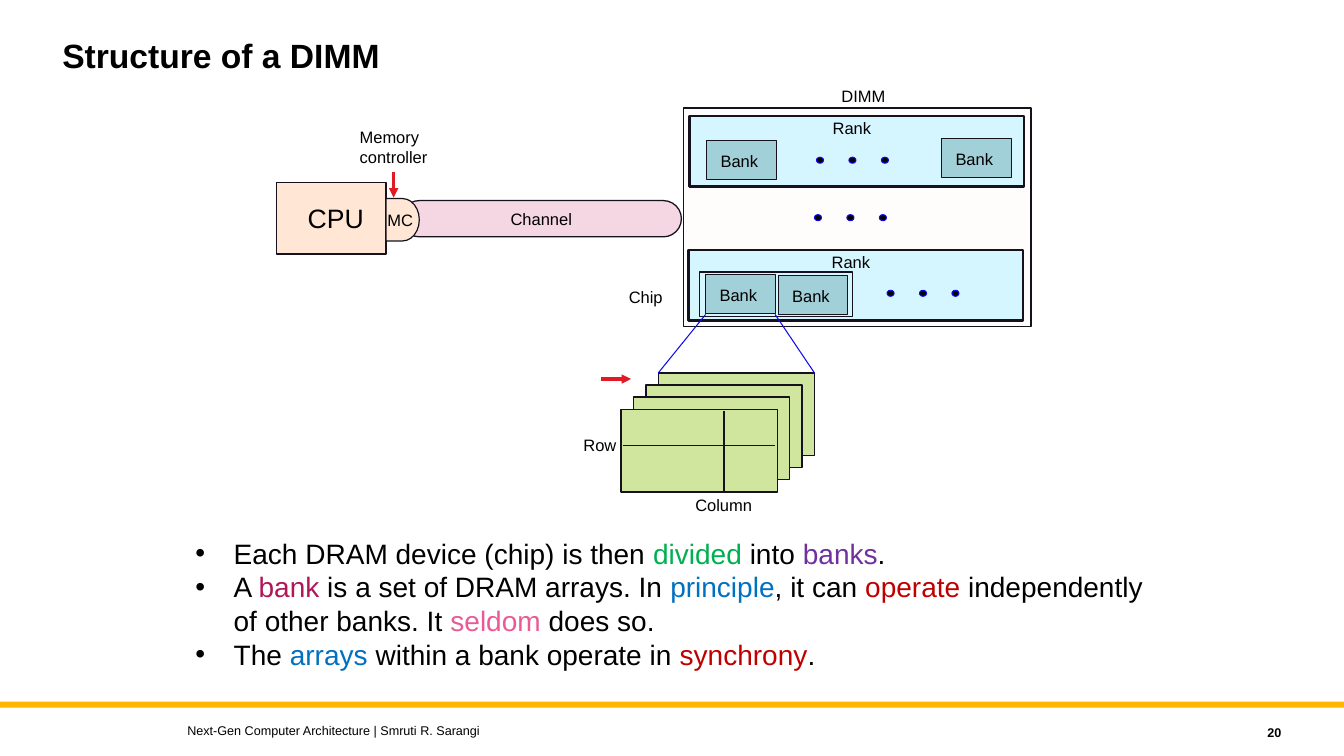
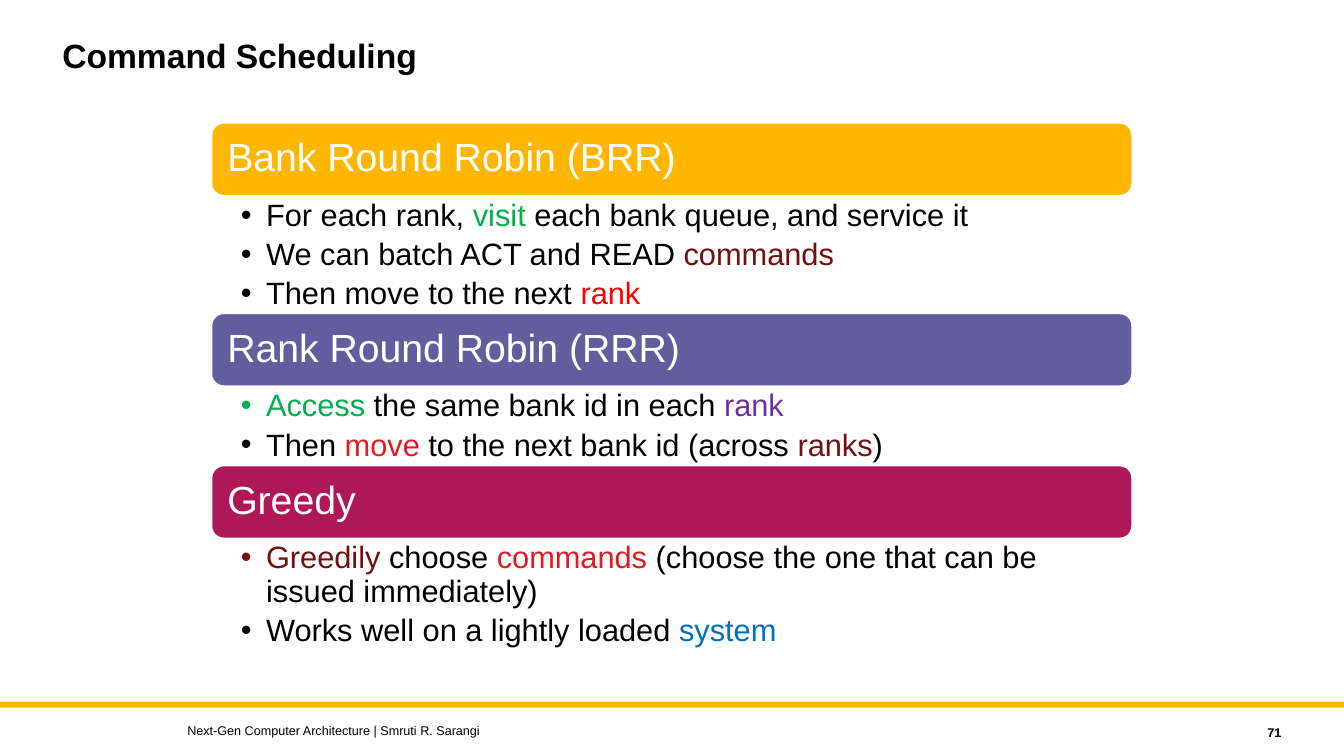
from collections import namedtuple

from lxml import etree
from pptx import Presentation
from pptx import util as u
from pptx.dml.color import RGBColor
from pptx.enum import shapes, text
from pptx.oxml.ns import qn

Theme = namedtuple("Theme", "font ink size")
theme = Theme(
    font="Arial",
    ink=dict(
        black="000000", white="FFFFFF", gold="FFB600", edge="15111D",
        peach="FFE6D5", cream="FFFDFC", sky="D5F6FF", teal="A2D0D9",
        rose="F4D7E3", lime="D0E69E", navy="0B0BEA", red="E21A23",
        green="00B050", purple="7030A0", wine="AF1858", blue="0070C0",
        brick="C00000", pink="E85B97", maroon="720F11", bright="FF0000",
        violet="625D9C",
    ),
    size=dict(title=24, foot=9, label=11.8, cpu=19, point=20, bar=28, item=22),
)
KIND = shapes.MSO_SHAPE
ALIGN = text.PP_ALIGN
ANCHOR = text.MSO_ANCHOR

# The grid has square cells of a tenth of an inch.
CELL = u.Inches(0.1)
COLS, ROWS = 133.33, 75


def draw(page, x, y, w, h, fill=None, line=None, weight=1, kind=KIND.RECTANGLE):
    """Add a shape at grid places, or a text box if kind is None."""
    place = [int(v * CELL) for v in (x, y, w, h)]
    if kind is None:
        return page.shapes.add_textbox(*place)
    shape = page.shapes.add_shape(kind, *place)
    shape.shadow.inherit = False
    if fill:
        shape.fill.solid()
        shape.fill.fore_color.rgb = RGBColor.from_string(theme.ink[fill])
    else:
        shape.fill.background()
    if line:
        shape.line.color.rgb = RGBColor.from_string(theme.ink[line])
        shape.line.width = u.Pt(weight)
    else:
        shape.line.fill.background()
    return shape


def write(shape, lines, size, ink="black", bold=False, align=ALIGN.LEFT,
          anchor=ANCHOR.TOP, inset=(1, 0.5, 1, 0.5), wrap=True,
          hang=0, pitch=None, gap=0):
    """Fill a shape with lines, where {name} switches the colour and {} resets it."""
    frame = shape.text_frame
    frame.word_wrap = wrap
    frame.vertical_anchor = anchor
    (frame.margin_left, frame.margin_top,
     frame.margin_right, frame.margin_bottom) = [int(v * CELL) for v in inset]
    for i, line in enumerate(lines):
        para = frame.add_paragraph() if i else frame.paragraphs[0]
        para.alignment = align
        para.space_after = u.Pt(gap)
        if pitch:
            para.line_spacing = pitch
        if hang:
            props = para._p.get_or_add_pPr()
            props.set("marL", str(int(hang * CELL)))
            props.set("indent", str(-int(hang * CELL)))
            etree.SubElement(props, qn("a:buFont")).set("typeface", theme.font)
            etree.SubElement(props, qn("a:buChar")).set("char", "•")
        para.font.name = theme.font
        para.font.size = u.Pt(theme.size[size])
        para.font.bold = bold
        for part in ("}" + line).split("{"):
            name, _, words = part.partition("}")
            if words:
                run = para.add_run()
                run.text = words
                run.font.color.rgb = RGBColor.from_string(theme.ink[name or ink])


deck = Presentation()
deck.slide_width = int(COLS * CELL)
deck.slide_height = int(ROWS * CELL)

# Shared title, band and footer
pages = []
for title, number in (("Structure of a DIMM", "20"), ("Command Scheduling", "71")):
    page = deck.slides.add_slide(deck.slide_layouts[6])
    pages.append(page)
    draw(page, 0, 69.6, COLS, 0.6, "gold")
    write(draw(page, 5.2, 3, 100, 9, kind=None), [title], "title", bold=True)
    write(draw(page, 17.6, 71.2, 80, 2.5, kind=None),
          ["Next-Gen Computer Architecture | Smruti R. Sarangi"], "foot",
          anchor=ANCHOR.MIDDLE)
    write(draw(page, 114.1, 71.4, 14, 2.5, kind=None), [number], "foot",
          bold=True, align=ALIGN.RIGHT, anchor=ANCHOR.MIDDLE)
dimm, plan = pages

# Blocks of the memory system, from back to front
mid = dict(align=ALIGN.CENTER, anchor=ANCHOR.MIDDLE, wrap=False)
flush = (0, 0, 0, 0)
channel = draw(dimm, 39.8, 19.9, 27.8, 3.6, "rose", "edge", 0.9,
               KIND.ROUNDED_RECTANGLE)
channel.adjustments[0] = 0.5
write(channel, ["Channel"], "label", inset=flush, **mid)
cpu = draw(dimm, 27.4, 18.1, 10.9, 7.1, "peach", "edge")
write(cpu, ["CPU"], "cpu", inset=(0.9, 0, 0, 0), **mid)
mc = draw(dimm, 38.3, 19.7, 3.3, 4.2, "peach", "edge", 0.86, KIND.FLOWCHART_DELAY)
write(mc, ["MC"], "label", inset=flush, **mid)

draw(dimm, 67.8, 10.7, 34.5, 21.7, "cream", "edge")
for x, y in ((68.4, 11.5), (68.3, 24.8)):
    rank = draw(dimm, x, y, 33.2, 7, "sky", "edge", 1.7)
    write(rank, ["Rank"], "label", align=ALIGN.CENTER, inset=(0, 0.2, 1, 0))
draw(dimm, 69.4, 27, 15.2, 4.4, line="edge", weight=0.91)
for x, y in ((70.1, 13.9), (93.4, 13.7), (70, 27.2), (77.2, 27.3)):
    bank = draw(dimm, x, y, 6.9, 3.9, "teal", "edge", 0.58)
    write(bank, ["Bank"], "label", inset=(0, 0.2, 0.4, 0), **mid)
for x, y in ((81, 15.6), (80.8, 21.3), (88, 28.8)):
    for i in range(3):
        draw(dimm, x + 3.22 * i, y, 0.7, 0.6, "black", "navy", 0.75, KIND.OVAL)

# Stack of arrays inside a bank
for i in range(4):
    draw(dimm, 65.3 - 1.23 * i, 37 + 1.2 * i, 15.5, 8.2, "lime", "edge")

for words, x, y, w in (
    ("DIMM", 82.5, 8, 6.4),
    ("Memory", 34.7, 12.1, 8.4),
    ("controller", 34.7, 14.1, 8.8),
    ("Chip", 61.4, 28, 5.4),
    ("Row", 56.9, 42.7, 5.3),
    ("Column", 68, 48.6, 7.7),
):
    write(draw(dimm, x, y, w, 3, kind=None), [words], "label", wrap=False)

# Zoom lines, row and column lines, arrows
for x1, y1, x2, y2, ink, weight, head in (
    (70, 31.2, 65.3, 37, "navy", 0.75, False),
    (76.9, 31.2, 80.8, 37, "navy", 0.75, False),
    (61.8, 44.2, 76.9, 44.2, "edge", 1.41, False),
    (71.8, 40.8, 71.8, 48.9, "edge", 1.41, False),
    (39.05, 17.1, 39.05, 19.6, "red", 2.25, True),
    (59.6, 37.6, 62.6, 37.6, "red", 2.25, True),
):
    ends = [int(v * CELL) for v in (x1, y1, x2, y2)]
    link = dimm.shapes.add_connector(shapes.MSO_CONNECTOR.STRAIGHT, *ends)
    link.line.color.rgb = RGBColor.from_string(theme.ink[ink])
    link.line.width = u.Pt(weight)
    if head:
        tip = etree.SubElement(link.line._get_or_add_ln(), qn("a:tailEnd"))
        tip.set("type", "triangle")
    etree.SubElement(link._element.spPr, qn("a:effectLst"))

write(draw(dimm, 18.4, 52.7, 96.6, 14.5, kind=None), [
    "Each DRAM device (chip) is then {green}divided{} into {purple}banks{}.",
    "A {wine}bank{} is a set of DRAM arrays. In {blue}principle{}, it can "
    "{brick}operate{} independently of other banks. It {pink}seldom{} does so.",
    "The {blue}arrays{} within a bank operate in {brick}synchrony{}.",
], "point", hang=3.8)

# Scheduling policies, stacked bar over points
top = 12.2
for name, fill, deep, points in (
    ("Bank Round Robin (BRR)", "gold", 11.7, [
        "For each rank, {green}visit{} each bank queue, and service it",
        "We can batch ACT and READ {maroon}commands",
        "Then move to the next {bright}rank",
    ]),
    ("Rank Round Robin (RRR)", "violet", 7.9, [
        "{green}Access{} the same bank id in each {purple}rank",
        "Then {red}move{} to the next bank id (across {maroon}ranks{})",
    ]),
    ("Greedy", "wine", 11.1, [
        "{maroon}Greedily{} choose {red}commands{} (choose the one that can be "
        "issued immediately)",
        "Works well on a lightly loaded {blue}system",
    ]),
):
    bar = draw(plan, 21, top, 91.3, 7.2, fill, "white", 1, KIND.ROUNDED_RECTANGLE)
    write(bar, [name], "bar", "white", anchor=ANCHOR.MIDDLE,
          inset=(1.2, 0, 1.2, 0), pitch=0.9)
    top += 7.2
    write(draw(plan, 21, top, 91.3, deep, kind=None), points, "item",
          inset=(2.9, 0.4, 2.2, 0.4), hang=2.5, pitch=0.9, gap=4.4)
    top += deep

deck.save("out.pptx")
